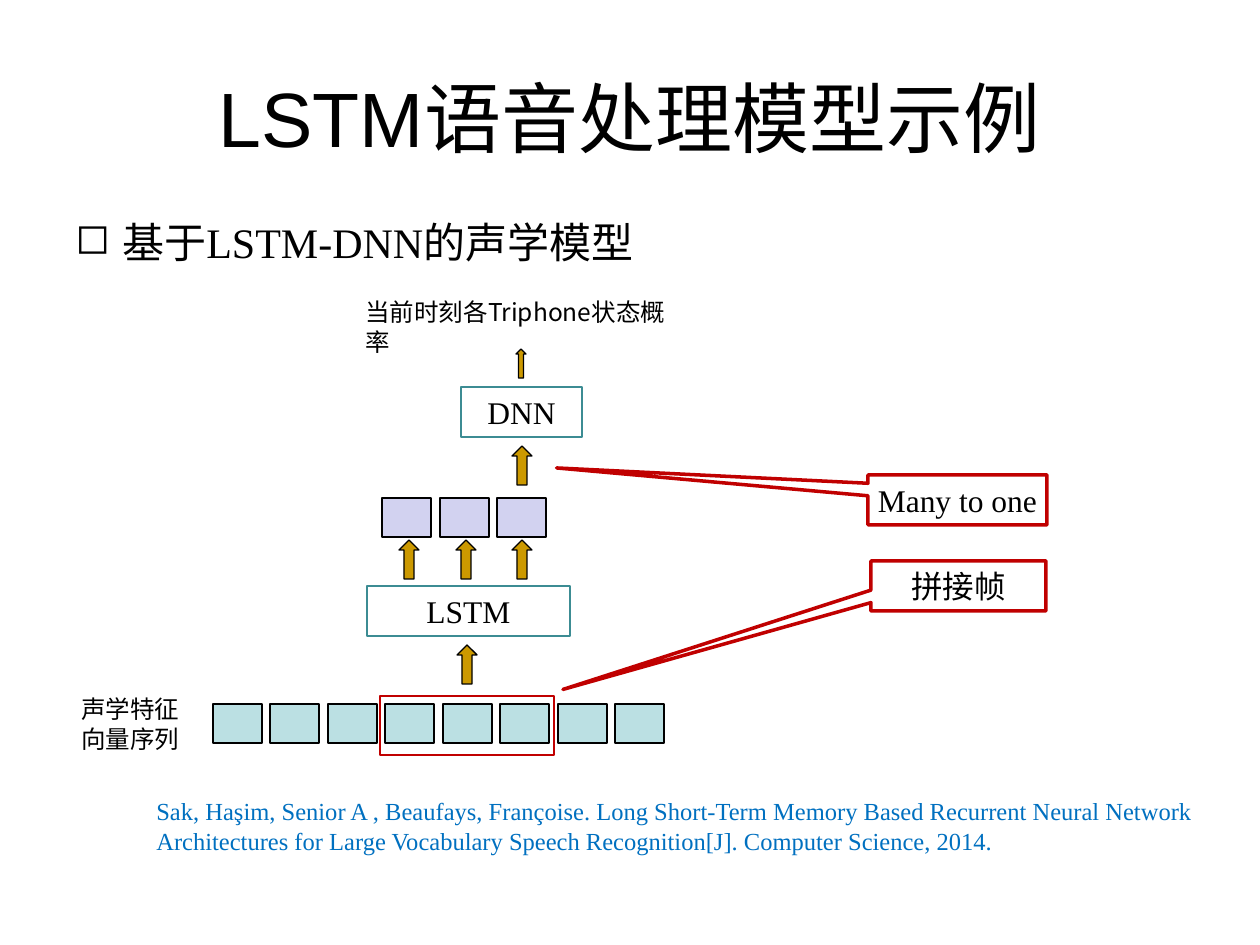
"""Build a slide showing an LSTM-DNN acoustic model for speech."""
import pptx
import pptx.dml.color
import pptx.enum.shapes
import pptx.enum.text
import pptx.oxml.ns
import pptx.util
from lxml import etree

SHAPE = pptx.enum.shapes.MSO_SHAPE
ALIGN = pptx.enum.text.PP_ALIGN
ANCHOR = pptx.enum.text.MSO_ANCHOR
SERIF = "Times New Roman"
SANS = "Noto Sans CJK SC"
COLORS = {
    "ink": "000000", "paper": "FFFFFF", "citation": "0070C0",
    "feature": "BBE0E3", "hidden": "A3A3E0", "layer": "3C8C93",
    "arrow": "CC9900", "accent": "C00000",
}


def px(length):
    return pptx.util.Emu(round(length * 914400 / 126))


def spread(first, last, count):
    return [round(first + i * (last - first) / (count - 1)) for i in range(count)]


def add_xml(parent, tag, **attributes):
    return etree.SubElement(parent, pptx.oxml.ns.qn(tag), **attributes)


class Board:
    """Hold the slide and its shared style."""

    def __init__(self, slide):
        self.slide = slide

    def color(self, name):
        return pptx.dml.color.RGBColor.from_string(COLORS[name])

    def set_text(self, shape, text, size, font, color="ink", align=ALIGN.LEFT,
                 anchor=ANCHOR.TOP, wrap=True):
        frame = shape.text_frame
        frame.text = text
        frame.word_wrap = wrap
        frame.vertical_anchor = anchor
        for paragraph in frame.paragraphs:
            paragraph.alignment = align
            for run in paragraph.runs:
                run.font.size = pptx.util.Pt(size)
                run.font.name = font
                run.font.color.rgb = self.color(color)
                add_xml(run.font._element, "a:ea", typeface=SANS)
        return frame

    def title(self, box, text):
        heading = self.slide.shapes.title
        heading.left, heading.top, heading.width, heading.height = map(px, box)
        self.set_text(heading, text, 44, "Arial", align=ALIGN.CENTER, anchor=ANCHOR.MIDDLE)

    def text(self, box, text, size, font, color="ink", wrap=True):
        label = self.slide.shapes.add_textbox(*map(px, box))
        return self.set_text(label, text, size, font, color, wrap=wrap)

    def bullet(self, box, text):
        paragraph = self.text(box, text, 24, SERIF).paragraphs[0]
        paragraph.line_spacing = 1.5
        paragraph.space_before = paragraph.space_after = pptx.util.Pt(4)
        properties = paragraph._p.get_or_add_pPr()
        properties.set("marL", str(px(47)))
        properties.set("indent", str(px(-47)))
        add_xml(properties, "a:buChar", char="◻")

    def shape(self, kind, box, fill=None, line="ink", weight=0.75, opacity=None):
        figure = self.slide.shapes.add_shape(kind, *map(px, box))
        figure.shadow.inherit = False
        figure.line.color.rgb = self.color(line)
        figure.line.width = pptx.util.Pt(weight)
        if fill is None:
            figure.fill.background()
        else:
            figure.fill.solid()
            figure.fill.fore_color.rgb = self.color(fill)
        if opacity is not None:
            tint = figure._element.spPr.find(".//" + pptx.oxml.ns.qn("a:srgbClr"))
            add_xml(tint, "a:alpha", val=str(opacity * 1000))
        return figure

    def cells(self, first, last, count, top, fill, opacity=None):
        for left in spread(first, last, count):
            self.shape(SHAPE.RECTANGLE, (left, top, 49, 39), fill, opacity=opacity)

    def arrow(self, left, top, width=20, height=39):
        self.shape(SHAPE.UP_ARROW, (left, top, width, height), "arrow")

    def layer(self, box, text):
        block = self.shape(SHAPE.RECTANGLE, box, line="layer", weight=1.5)
        self.set_text(block, text, 18, SERIF, align=ALIGN.CENTER, anchor=ANCHOR.MIDDLE)

    def callout(self, box, text, font, pointer):
        note = self.shape(SHAPE.RECTANGULAR_CALLOUT, box, "paper", "accent", 2)
        note.adjustments[0], note.adjustments[1] = pointer
        self.set_text(note, text, 18, font, align=ALIGN.CENTER, anchor=ANCHOR.MIDDLE, wrap=False)


def main():
    deck = pptx.Presentation()
    deck.slide_width, deck.slide_height = px(1260), px(945)
    board = Board(deck.slides.add_slide(deck.slide_layouts[5]))

    board.title((63, 38, 1134, 158), "LSTM语音处理模型示例")
    board.bullet((63, 185, 1143, 725), "基于LSTM-DNN的声学模型")
    board.text((144, 790, 1081, 72),
               "Sak, Haşim, Senior A , Beaufays, Françoise. Long Short-Term Memory Based "
               "Recurrent Neural Network Architectures for Large Vocabulary Speech "
               "Recognition[J]. Computer Science, 2014.", 14, SERIF, "citation")

    board.cells(213, 615, 8, 704, "feature")
    board.shape(SHAPE.RECTANGLE, (380, 696, 174, 59), line="accent", weight=1.25)
    board.layer((367, 586, 203, 50), "LSTM")
    board.cells(382, 497, 3, 498, "hidden", opacity=48)
    board.layer((461, 387, 121, 50), "DNN")

    board.arrow(457, 645)
    for left in spread(399, 512, 3):
        board.arrow(left, 540)
    board.arrow(512, 446)
    board.arrow(516, 349, 10, 29)

    board.text((69, 688, 125, 72), "声学特征\n向量序列", 14, SANS, wrap=False)
    board.text((353, 291, 347, 43), "当前时刻各Triphone状态概率", 14, SANS)

    board.callout((871, 561, 175, 50), "拼接帧", SANS, (-2.26, 2.07))
    board.callout((868, 475, 179, 50), "Many to one", SERIF, (-2.24, -0.64))
    deck.save("out.pptx")


if __name__ == "__main__":
    main()
